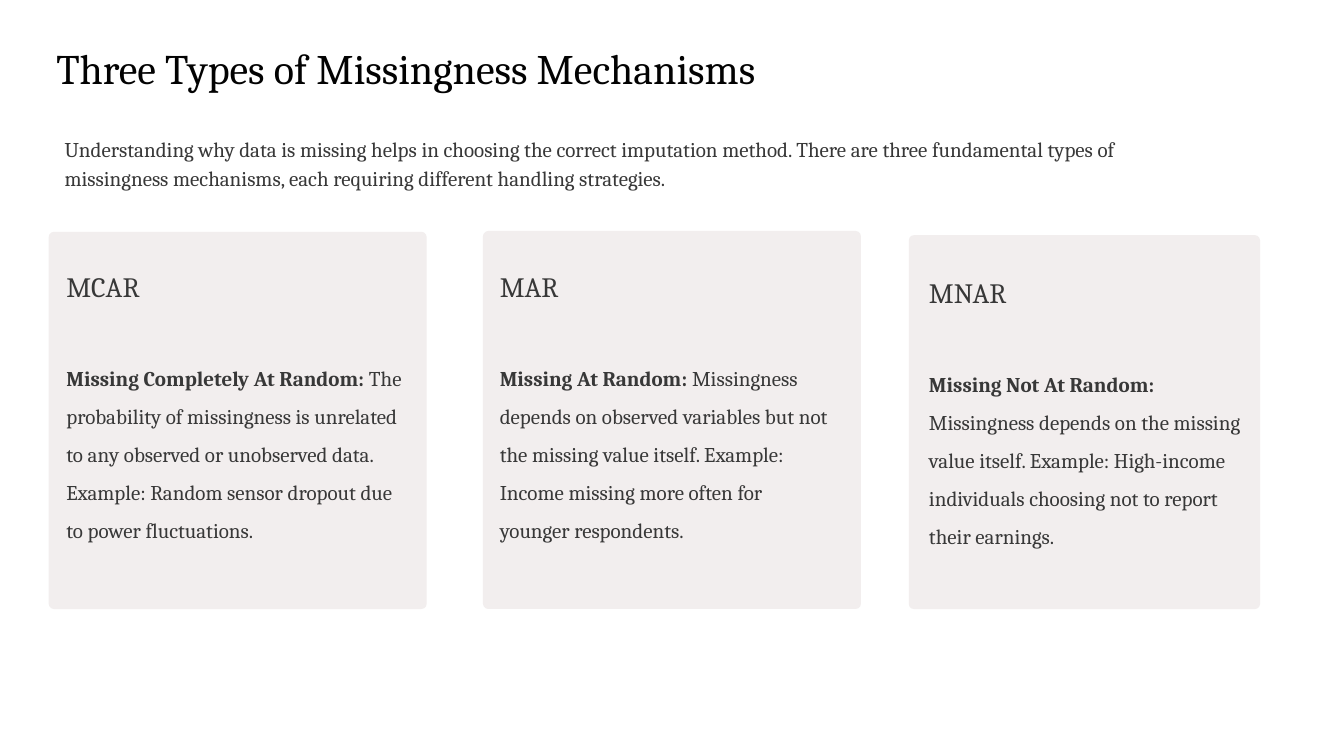
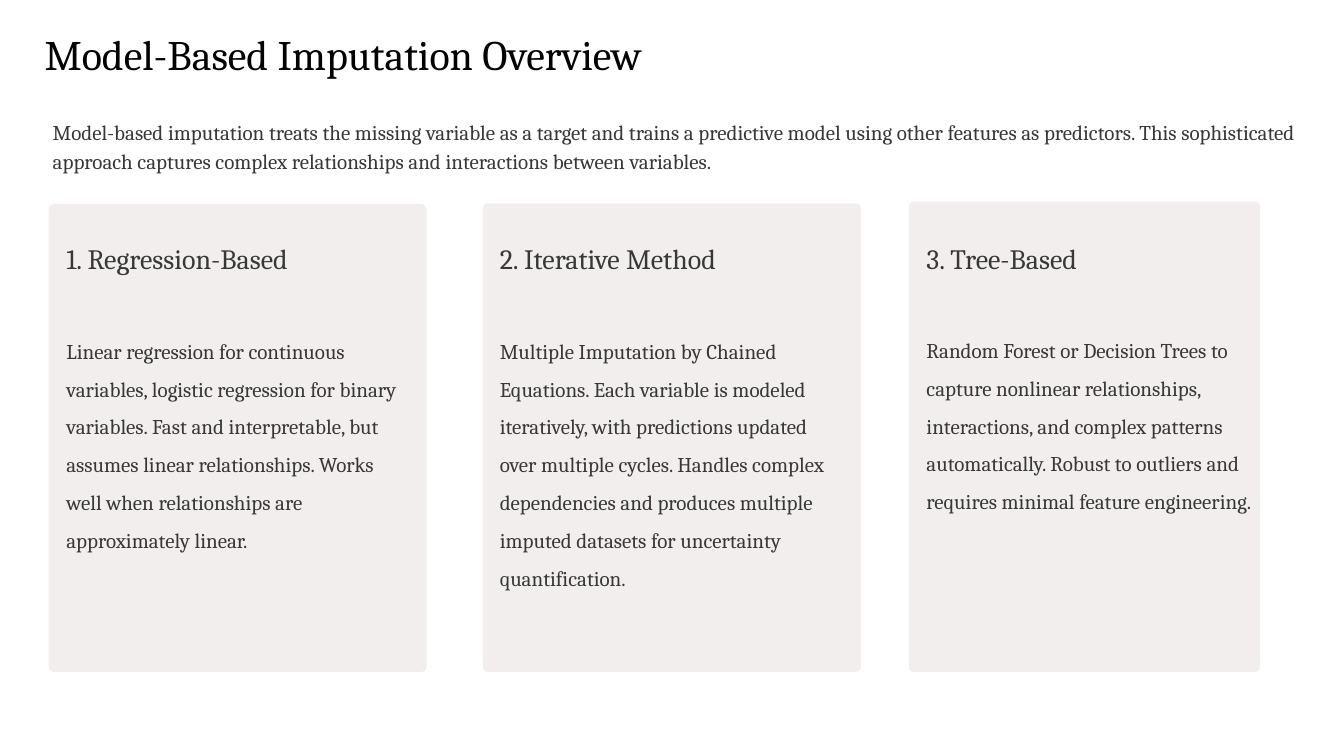
"""Build two slides on missing data: the mechanisms and model-based imputation."""
from pptx import Presentation
from pptx.dml.color import RGBColor
from pptx.enum.shapes import MSO_SHAPE
from pptx.enum.text import MSO_ANCHOR, MSO_AUTO_SIZE, PP_ALIGN
from pptx.util import Inches, Pt

FONT = "Cambria"
TITLE_COLOR = RGBColor(0x02, 0x02, 0x02)
TEXT_COLOR = RGBColor(0x38, 0x38, 0x38)
CARD_COLOR = RGBColor(0xF2, 0xEE, 0xEE)

COLUMNS = [(0.58, 4.5, 4.06), (5.75, 4.5, 3.94), (10.82, 4.18, 3.94)]
COPY_HEIGHT = 2.71

SLIDES = [
    {
        "title": "Three Types of Missingness Mechanisms",
        "title_box": (0.67, -0.08, 14.93, 1.15),
        "title_spacing": Pt(51),
        "intro": "Understanding why data is missing helps in choosing the correct imputation method. "
                 "There are three fundamental types of missingness mechanisms, each requiring "
                 "different handling strategies.",
        "intro_box": (0.67, 1.53, 13.71, 0.78),
        "cards_bottom": 7.25,
        "cards": [
            {"heading": "MCAR", "top": 2.76, "copy_at": (0.79, 3.01),
             "lead": "Missing Completely At Random:",
             "body": " The probability of missingness is unrelated to any observed or unobserved data. "
                     "Example: Random sensor dropout due to power fluctuations."},
            {"heading": "MAR", "top": 2.75, "copy_at": (5.95, 3.01),
             "lead": "Missing At Random:",
             "body": " Missingness depends on observed variables but not the missing value itself. "
                     "Example: Income missing more often for younger respondents."},
            {"heading": "MNAR", "top": 2.8, "copy_at": (11.06, 3.08),
             "lead": "Missing Not At Random:",
             "body": " Missingness depends on the missing value itself. Example: High-income "
                     "individuals choosing not to report their earnings."},
        ],
    },
    {
        "title": "Model-Based Imputation Overview",
        "title_box": (0.53, -0.14, 14.93, 1.09),
        "title_spacing": 1.0,
        "intro": "Model-based imputation treats the missing variable as a target and trains a predictive "
                 "model using other features as predictors. This sophisticated approach captures complex "
                 "relationships and interactions between variables.",
        "intro_box": (0.53, 1.33, 15.33, 0.79),
        "cards_bottom": 8.0,
        "cards": [
            {"heading": "1. Regression-Based", "top": 2.43, "copy_at": (0.79, 2.68),
             "body": "Linear regression for continuous variables, logistic regression for binary "
                     "variables. Fast and interpretable, but assumes linear relationships. Works well "
                     "when relationships are approximately linear."},
            {"heading": "2. Iterative Method", "top": 2.42, "copy_at": (5.95, 2.68),
             "body": "Multiple Imputation by Chained Equations. Each variable is modeled iteratively, "
                     "with predictions updated over multiple cycles. Handles complex dependencies and "
                     "produces multiple imputed datasets for uncertainty quantification."},
            {"heading": "3. Tree-Based", "top": 2.4, "copy_at": (11.03, 2.67),
             "body": "Random Forest or Decision Trees to capture nonlinear relationships, interactions, "
                     "and complex patterns automatically. Robust to outliers and requires minimal "
                     "feature engineering."},
        ],
    },
]


def write(paragraph, text, lead="", size=18, color=TEXT_COLOR, spacing=1.5, before=0):
    """Fill a paragraph with text, after an optional bold lead."""
    paragraph.alignment = PP_ALIGN.LEFT
    paragraph.line_spacing = spacing
    paragraph.space_before = Pt(before)
    for part, bold in ((lead, True), (text, False)):
        if part:
            run = paragraph.add_run()
            run.text = part
            run.font.name = FONT
            run.font.size = Pt(size)
            run.font.bold = bold
            run.font.color.rgb = color


def prepare(frame, left=0, top=0, right=0, bottom=0):
    """Set wrapping, anchoring and margins, and return the first paragraph."""
    frame.word_wrap = True
    frame.auto_size = MSO_AUTO_SIZE.NONE
    frame.vertical_anchor = MSO_ANCHOR.TOP
    frame.margin_left, frame.margin_top = Inches(left), Inches(top)
    frame.margin_right, frame.margin_bottom = Inches(right), Inches(bottom)
    return frame.paragraphs[0]


def add_title(slide, content):
    """Move and fill the title placeholder."""
    title = slide.shapes.title
    title.left, title.top, title.width, title.height = map(Inches, content["title_box"])
    write(prepare(title.text_frame, top=0.48), content["title"],
          size=36, color=TITLE_COLOR, spacing=content["title_spacing"])


def add_card(slide, card, column, bottom):
    """Draw one card with its heading and body."""
    left, width, copy_width = column
    panel = slide.shapes.add_shape(
        MSO_SHAPE.ROUNDED_RECTANGLE,
        *map(Inches, (left, card["top"], width, bottom - card["top"])))
    panel.adjustments[0] = 0.014
    panel.shadow.inherit = False
    panel.fill.solid()
    panel.fill.fore_color.rgb = CARD_COLOR
    panel.line.fill.background()

    frame = slide.shapes.add_textbox(
        *map(Inches, (*card["copy_at"], copy_width, COPY_HEIGHT))).text_frame
    write(prepare(frame), card["heading"], size=24)
    write(frame.add_paragraph(), card["body"], lead=card.get("lead", ""), before=43)


def main():
    """Build and save the presentation."""
    deck = Presentation()
    deck.slide_width, deck.slide_height = Inches(16), Inches(9)
    for content in SLIDES:
        slide = deck.slides.add_slide(deck.slide_layouts.get_by_name("Title Only"))
        add_title(slide, content)
        intro = slide.shapes.add_textbox(*map(Inches, content["intro_box"]))
        write(prepare(intro.text_frame, 0.1, 0.05, 0.1, 0.05), content["intro"], spacing=Pt(25))
        for card, column in zip(content["cards"], COLUMNS):
            add_card(slide, card, column, content["cards_bottom"])
    deck.save("out.pptx")


if __name__ == "__main__":
    main()
